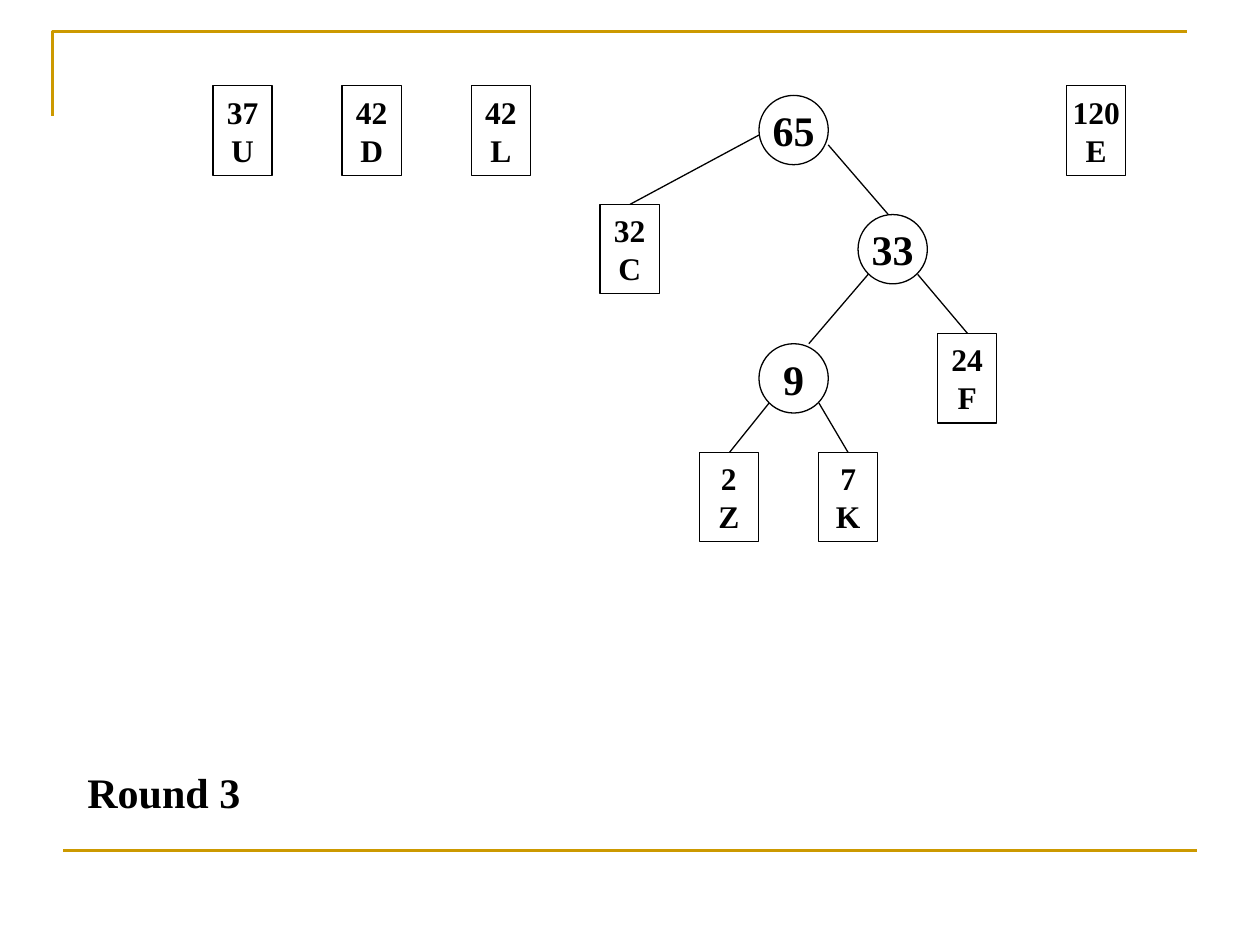
from typing import NamedTuple

import pptx
import pptx.dml.color
import pptx.enum.shapes
import pptx.enum.text
import pptx.oxml
import pptx.oxml.ns
import pptx.shapes.autoshape
import pptx.shapes.shapetree
import pptx.text.text
import pptx.util

Pt = pptx.util.Pt
Align = pptx.enum.text.PP_ALIGN
Anchor = pptx.enum.text.MSO_ANCHOR
Shape = pptx.enum.shapes.MSO_SHAPE
Tree = pptx.shapes.shapetree.SlideShapes

BLACK = pptx.dml.color.RGBColor(0x00, 0x00, 0x00)
GOLD = pptx.dml.color.RGBColor(0xCC, 0x99, 0x00)
FONT = "Times New Roman"

LEAF_W, LEAF_H = 33.84, 51.12
RING = 39.6
TOP = 49
ROW_X, ROW_STEP = 121.7, 73.8


class Leaf(NamedTuple):
    count: int
    letter: str
    x: float
    y: float


class Node(NamedTuple):
    total: int
    x: float
    y: float


class Edge(NamedTuple):
    x1: float
    y1: float
    x2: float
    y2: float


QUEUE = [(37, "U"), (42, "D"), (42, "L")]
LEAVES = [
    Leaf(2, "Z", 399.6, 258.5),
    Leaf(7, "K", 467.8, 258.5),
    Leaf(24, "F", 535.8, 190.6),
    Leaf(32, "C", 342.9, 116.8),
    *(Leaf(count, letter, ROW_X + i * ROW_STEP, TOP)
      for i, (count, letter) in enumerate(QUEUE)),
    Leaf(120, "E", 609.5, TOP),
]
NODES = [
    Node(9, 433.7, 196.4),
    Node(33, 490.3, 122.6),
    Node(65, 433.7, 54.5),
]
EDGES = [
    Edge(439.4, 230.4, 416.9, 258.5),
    Edge(468, 230.4, 484.6, 258.5),
    Edge(496.1, 156.8, 462.2, 196.4),
    Edge(524.4, 156.8, 552.9, 190.6),
    Edge(360, 116.8, 433.7, 77.2),
    Edge(473.3, 82.8, 507.6, 122.6),
]


def write(frame: pptx.text.text.TextFrame, text: str, *, size: float,
          anchor: Anchor = Anchor.MIDDLE) -> None:
    frame.text = text
    frame.word_wrap = False
    frame.vertical_anchor = anchor
    for line in frame.paragraphs:
        line.alignment = Align.CENTER
        font = line.runs[0].font
        font.name = FONT
        font.size = Pt(size)
        font.bold = True
        font.color.rgb = BLACK


def outline(shape: pptx.shapes.autoshape.Shape, color: pptx.dml.color.RGBColor,
            width: float) -> None:
    shape.shadow.inherit = False
    shape.fill.background()
    shape.line.color.rgb = color
    shape.line.width = Pt(width)


def add_leaf(tree: Tree, leaf: Leaf) -> None:
    box = tree.add_shape(Shape.RECTANGLE, Pt(leaf.x), Pt(leaf.y), Pt(LEAF_W), Pt(LEAF_H))
    outline(box, BLACK, 0.75)
    write(box.text_frame, f"{leaf.count}\n{leaf.letter}", size=18)


def add_node(tree: Tree, node: Node) -> None:
    ring = tree.add_shape(Shape.OVAL, Pt(node.x), Pt(node.y), Pt(RING), Pt(RING))
    outline(ring, BLACK, 0.75)
    write(ring.text_frame, str(node.total), size=24)


def add_edge(tree: Tree, edge: Edge, color: pptx.dml.color.RGBColor = BLACK,
             width: float = 0.75) -> None:
    kind = pptx.enum.shapes.MSO_CONNECTOR.STRAIGHT
    line = tree.add_connector(kind, *(Pt(value) for value in edge))
    line.line.color.rgb = color
    line.line.width = Pt(width)
    xml = f"<a:effectLst {pptx.oxml.ns.nsdecls('a')}/>"
    line._element.spPr.append(pptx.oxml.parse_xml(xml))


def add_frame(tree: Tree) -> None:
    pen = tree.build_freeform(Pt(30.2), Pt(66.2))
    pen.add_line_segments([(Pt(30.2), Pt(18)), (Pt(678.2), Pt(18))], close=False)
    outline(pen.convert_to_shape(), GOLD, 1.5)
    add_edge(tree, Edge(36, 486, 684, 486), GOLD, 1.5)


def main() -> None:
    deck = pptx.Presentation()
    deck.slide_width, deck.slide_height = Pt(720), Pt(540)
    tree = deck.slides.add_slide(deck.slide_layouts[6]).shapes
    add_frame(tree)
    for leaf in LEAVES:
        add_leaf(tree, leaf)
    for node in NODES:
        add_node(tree, node)
    for edge in EDGES:
        add_edge(tree, edge)
    label = tree.add_textbox(Pt(42.5), Pt(434.2), Pt(102.2), Pt(36))
    write(label.text_frame, "Round 3", size=24, anchor=Anchor.TOP)
    label.text_frame.auto_size = pptx.enum.text.MSO_AUTO_SIZE.SHAPE_TO_FIT_TEXT
    deck.save("out.pptx")


if __name__ == "__main__":
    main()
